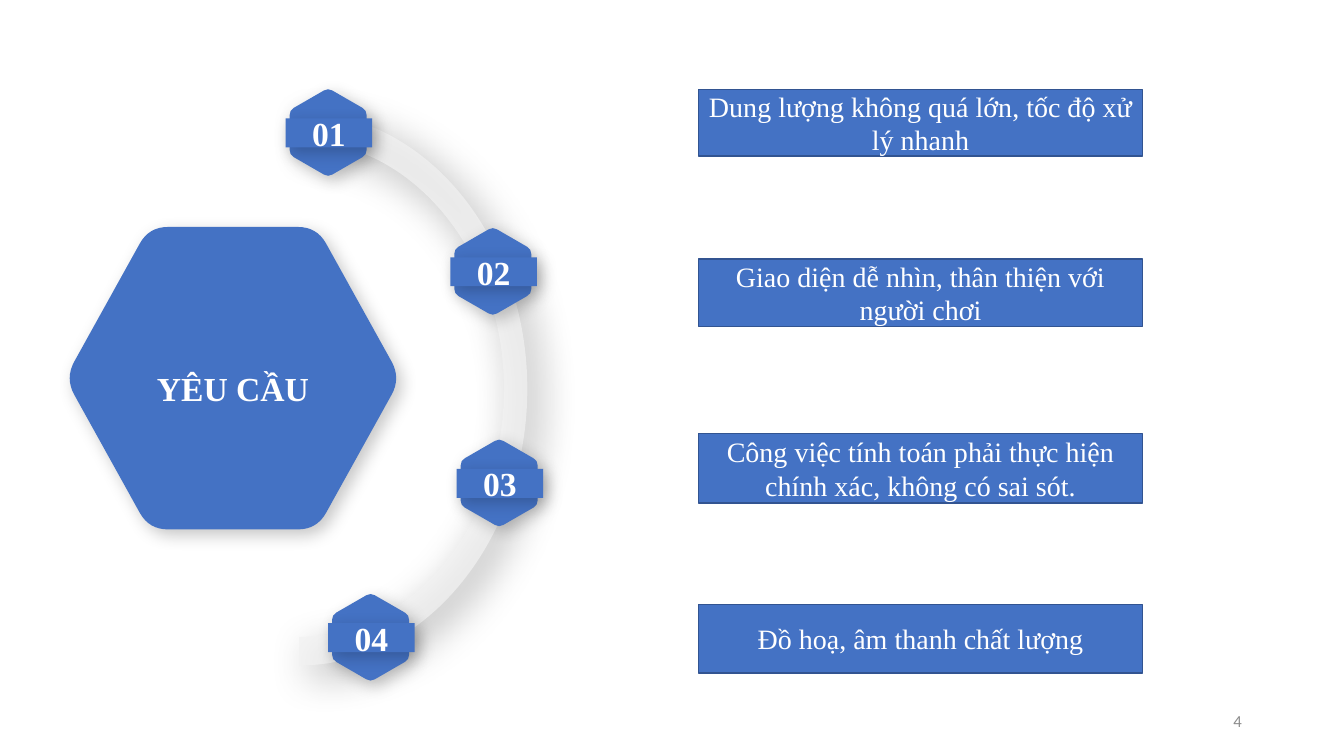
from math import cos, hypot, pi, sin

from lxml import etree
from pptx import Presentation
from pptx.dml.color import RGBColor
from pptx.enum.shapes import MSO_SHAPE
from pptx.enum.text import MSO_ANCHOR, PP_ALIGN
from pptx.oxml.ns import qn
from pptx.util import Cm, Pt

RECTANGLE = MSO_SHAPE.RECTANGLE
MIDDLE = MSO_ANCHOR.MIDDLE
CENTER, RIGHT = PP_ALIGN.CENTER, PP_ALIGN.RIGHT

COLORS = {
    "blue": "4472C4",
    "border": "325491",
    "ring": "F2F2F2",
    "white": "FFFFFF",
    "page": "8C8C8C",
    "shadow": "000000",
}
SERIF = "Times New Roman"
BLANK = 6
QUARTER_ARC = 0.55  # handle length of a quarter ellipse, as a share of its radius

# Text, top and height of each requirement bar, in cm
REQUIREMENTS = [
    ("Dung lượng không quá lớn, tốc độ xử lý nhanh", 2.26, 1.67),
    ("Giao diện dễ nhìn, thân thiện với người chơi", 6.53, 1.7),
    ("Công việc tính toán phải thực hiện chính xác, không có sai sót.", 10.93, 1.75),
    ("Đồ hoạ, âm thanh chất lượng", 15.23, 1.73),
]
# Centres of the numbered badges, in cm
BADGES = [(8.29, 3.35), (12.44, 6.85), (12.6, 12.18), (9.36, 16.07)]


def color(name):
    return RGBColor.from_string(COLORS[name])


def paint(shape, fill, border=None):
    shape.shadow.inherit = False
    shape.fill.solid()
    shape.fill.fore_color.rgb = color(fill)
    if border:
        shape.line.color.rgb = color(border)
        shape.line.width = Pt(1)
    else:
        shape.line.fill.background()


def add_alpha(color_element, percent):
    etree.SubElement(color_element, qn("a:alpha"), val=str(percent * 1000))


def cast_shadow(shape, opacity=21, blur=12, distance=5):
    """Add a soft shadow towards the lower right."""
    effects = shape.element.spPr.find(qn("a:effectLst"))
    outer = etree.SubElement(
        effects, qn("a:outerShdw"), blurRad=str(Pt(blur)), dist=str(Pt(distance)),
        dir=str(45 * 60000), algn="tl", rotWithShape="0")
    tint = etree.SubElement(outer, qn("a:srgbClr"), val=COLORS["shadow"])
    add_alpha(tint, opacity)


def write(shape, text, size, ink="white", font=SERIF, bold=False, align=CENTER):
    frame = shape.text_frame
    frame.word_wrap = True
    frame.vertical_anchor = MIDDLE
    frame.text = text
    paragraph = frame.paragraphs[0]
    paragraph.alignment = align
    paragraph.font.name = font
    paragraph.font.size = Pt(size)
    paragraph.font.bold = bold
    paragraph.font.color.rgb = color(ink)
    return paragraph


def add_outline(shapes, start, segments):
    """Draw a closed shape in cm; one point is a line, three are a Bézier curve."""
    builder = shapes.build_freeform(Cm(start[0]), Cm(start[1]))
    builder.add_line_segments(
        [(Cm(x), Cm(y)) for segment in segments for x, y in segment], close=True)
    outline = builder.convert_to_shape()
    lines = iter(list(outline.element.iter(qn("a:lnTo"))))
    for segment in segments:
        first, *others = [next(lines) for _ in segment]
        if others:
            first.tag = qn("a:cubicBezTo")
            for line in others:
                first.append(line[0])
                line.getparent().remove(line)
    return outline


def toward(start, end, distance):
    share = distance / hypot(end[0] - start[0], end[1] - start[1])
    return tuple(a + (b - a) * share for a, b in zip(start, end))


def add_hexagon(shapes, center, radii, cut, turn=0):
    """Draw a hexagon whose corners are rounded over the length cut."""
    angles = [turn + i * pi / 3 for i in range(6)]
    vertices = [(center[0] + radii[0] * cos(a), center[1] + radii[1] * sin(a))
                for a in angles]
    segments = []
    for i, vertex in enumerate(vertices):
        before, after = vertices[i - 1], vertices[(i + 1) % 6]
        segments.append([toward(vertex, before, cut)])
        segments.append([toward(vertex, before, cut / 3),
                         toward(vertex, after, cut / 3),
                         toward(vertex, after, cut)])
    hexagon = add_outline(shapes, segments[-1][-1], segments)
    paint(hexagon, "blue")
    cast_shadow(hexagon)
    return hexagon


def half_ellipse(x, y, rx, ry):
    """Return two curves from the top over the right side to the bottom."""
    hx, hy = rx * QUARTER_ARC, ry * QUARTER_ARC
    return [
        [(x + hx, y - ry), (x + rx, y - hy), (x + rx, y)],
        [(x + rx, y + hy), (x + hx, y + ry), (x, y + ry)],
    ]


def add_half_ring(shapes):
    x, y = 7.54, 9.8
    outer_rx, outer_ry, inner_rx, inner_ry = 5.75, 6.97, 5.16, 6.25
    outer = half_ellipse(x, y, outer_rx, outer_ry)
    inner = half_ellipse(x, y, inner_rx, -inner_ry)
    ring = add_outline(shapes, (x, y - outer_ry),
                       outer + [[(x, y + inner_ry)]] + inner)
    paint(ring, "ring")
    add_alpha(ring.element.spPr.find(qn("a:solidFill"))[0], 72)
    cast_shadow(ring, opacity=40, blur=30, distance=10)


def add_box(shapes, left, top, width, height, border=None):
    box = shapes.add_shape(RECTANGLE, Cm(left), Cm(top), Cm(width), Cm(height))
    paint(box, "blue", border)
    return box


def add_badge(shapes, number, x, y):
    badge = shapes.add_group_shape().shapes
    add_hexagon(badge, (x - 0.02, y - 0.01), (1.12, 1.12), 0.12, turn=pi / 6)
    width, height = 2.18, 0.73
    band = add_box(badge, x - width / 2, y - height / 2, width, height)
    cast_shadow(band)
    write(band, f"{number:02}", 24, bold=True)


def add_page_number(shapes, number):
    box = shapes.add_textbox(Cm(23.93), Cm(17.65), Cm(7.62), Cm(1.02))
    write(box, number, 12, ink="page", font="Calibri", align=RIGHT)


def main():
    deck = Presentation()
    deck.slide_width, deck.slide_height = Cm(33.87), Cm(19.05)
    shapes = deck.slides.add_slide(deck.slide_layouts[BLANK]).shapes

    for text, top, height in REQUIREMENTS:
        write(add_box(shapes, 17.61, top, 11.18, height, "border"), text, 20)
    topic = add_hexagon(shapes, (5.87, 9.53), (4.23, 4.4), 0.48)
    write(topic, "YÊU CẦU", 24, bold=True).line_spacing = 1.5
    add_half_ring(shapes)
    for number, (x, y) in enumerate(BADGES, start=1):
        add_badge(shapes, number, x, y)
    add_page_number(shapes, "4")

    deck.save("out.pptx")


if __name__ == "__main__":
    main()
